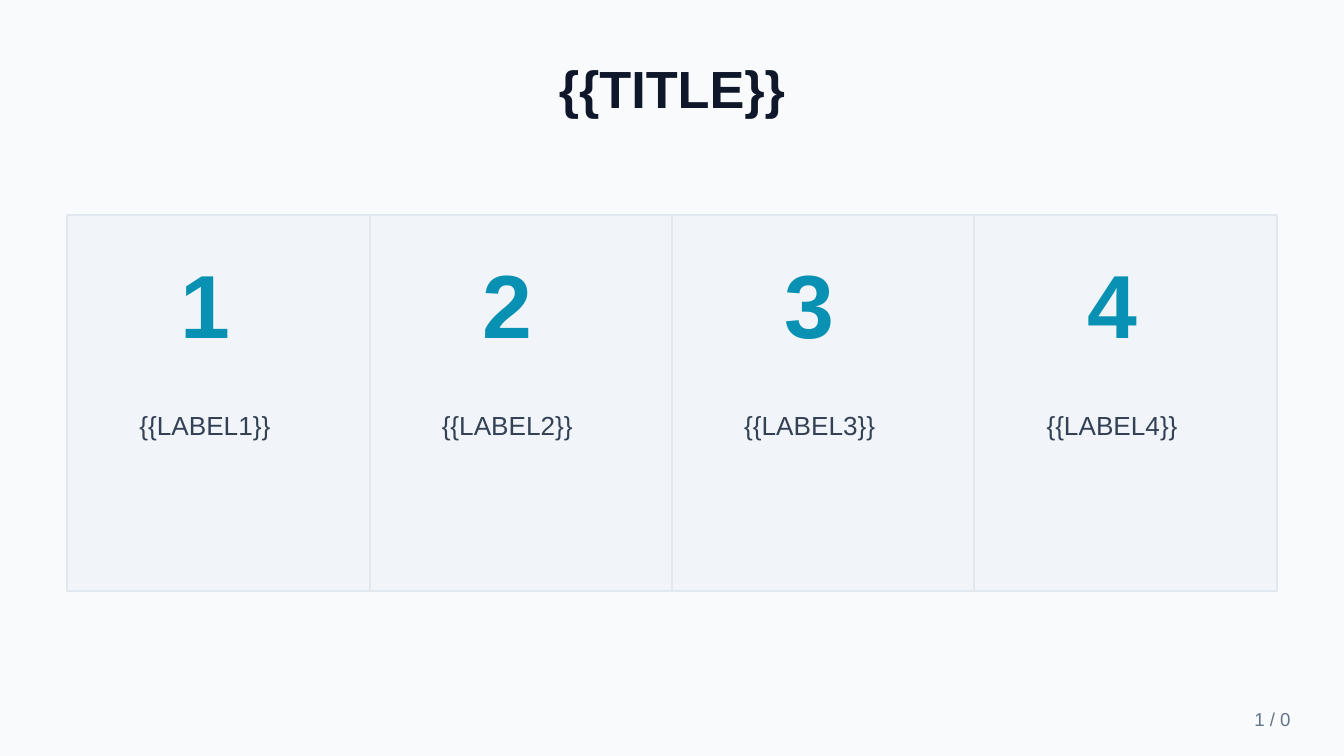
from pptx import Presentation
from pptx.dml.color import RGBColor
from pptx.enum.shapes import MSO_SHAPE
from pptx.enum.text import MSO_ANCHOR, PP_ALIGN
from pptx.util import Pt

EMU_PER_PX = 4572  # 200 px to the inch
COLORS = {
    "background": "F8FAFC",
    "title": "0F172A",
    "card": "F1F5F9",
    "border": "E2E8F0",
    "number": "0891B2",
    "label": "334155",
    "page_number": "64748B",
}
MARGIN = 100
CARD_COUNT = 4
CARD_WIDTH = 450
CARD_TEXT_WIDTH = 410


def px(length):
    return length * EMU_PER_PX


def color(name):
    return RGBColor.from_string(COLORS[name])


def write_text(box, text, *, size, fill, bold=False,
               align=PP_ALIGN.CENTER, anchor=MSO_ANCHOR.MIDDLE):
    frame = box.text_frame
    frame.word_wrap = True
    frame.vertical_anchor = anchor
    para = frame.paragraphs[0]
    para.alignment = align
    span = para.add_run()
    span.text = text
    span.font.name = "Arial"
    span.font.size = Pt(size)
    span.font.bold = bold
    span.font.color.rgb = color(fill)


def add_text(page, left, top, width, height, text, **text_format):
    box = page.shapes.add_textbox(px(left), px(top), px(width), px(height))
    write_text(box, text, **text_format)


def add_title(page, text):
    title = page.shapes.title
    title.left, title.top = px(MARGIN), px(60)
    title.width, title.height = px(1800), px(140)
    write_text(title, text, size=28, fill="title", bold=True)


def add_card(page, left, number):
    card = page.shapes.add_shape(
        MSO_SHAPE.RECTANGLE, px(left), px(320), px(CARD_WIDTH), px(560))
    card.shadow.inherit = False
    card.fill.solid()
    card.fill.fore_color.rgb = color("card")
    card.line.color.rgb = color("border")
    card.line.width = Pt(1)
    add_text(page, left, 300, CARD_TEXT_WIDTH, 300, str(number),
             size=48, fill="number", bold=True)
    add_text(page, left, 600, CARD_TEXT_WIDTH, 200, f"{{{{LABEL{number}}}}}",
             size=14, fill="label", anchor=MSO_ANCHOR.TOP)


def main():
    deck = Presentation()
    deck.slide_width, deck.slide_height = px(2000), px(1125)
    page = deck.slides.add_slide(deck.slide_layouts.get_by_name("Title Only"))
    page.background.fill.solid()
    page.background.fill.fore_color.rgb = color("background")

    add_title(page, "{{TITLE}}")
    for index in range(CARD_COUNT):
        add_card(page, MARGIN + index * CARD_WIDTH, index + 1)
    add_text(page, 1700, 1040, 240, 60, "1 / 0",
             size=10, fill="page_number", align=PP_ALIGN.RIGHT)
    deck.save("out.pptx")


if __name__ == "__main__":
    main()
